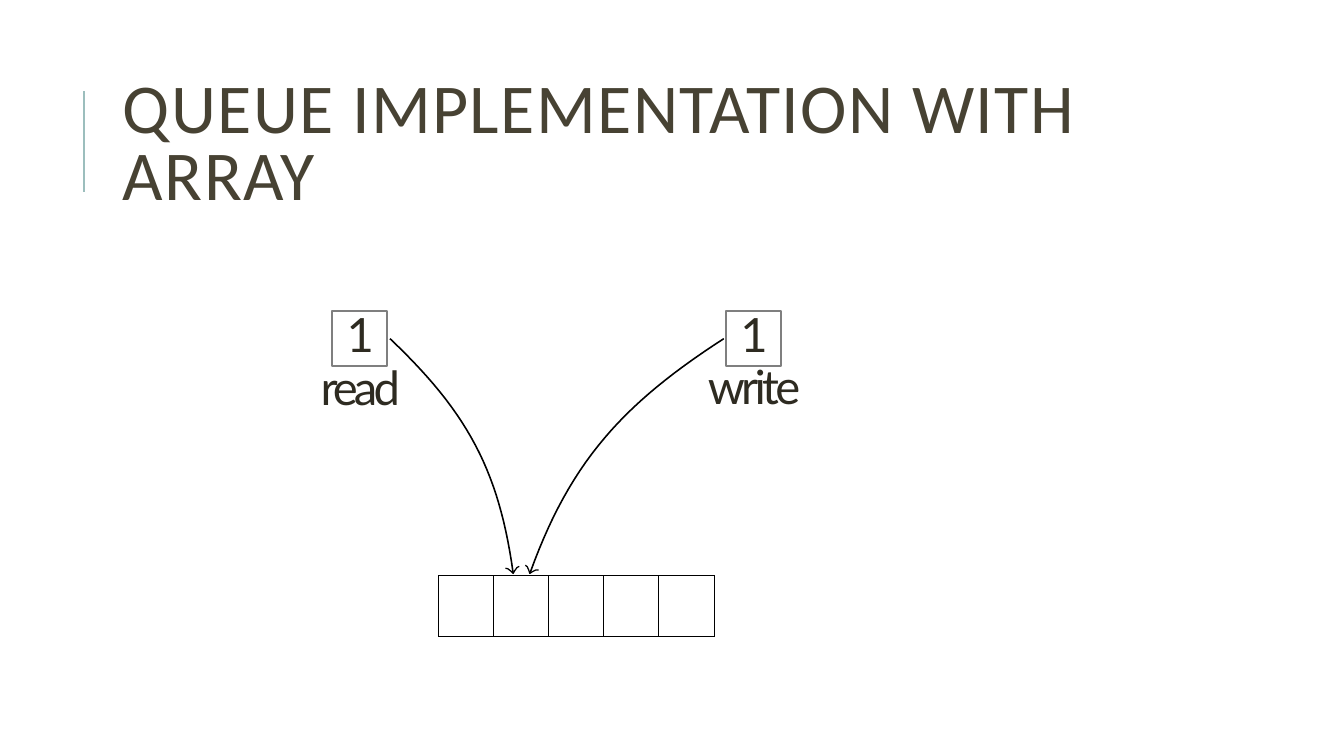
from dataclasses import dataclass
from math import hypot

from lxml.etree import SubElement
from pptx import Presentation
from pptx.dml.color import RGBColor
from pptx.enum.shapes import MSO_CONNECTOR, MSO_SHAPE
from pptx.enum.text import MSO_ANCHOR, MSO_AUTO_SIZE, PP_ALIGN
from pptx.oxml import parse_xml
from pptx.oxml.ns import nsdecls, qn
from pptx.util import Pt

BLACK = RGBColor(0x00, 0x00, 0x00)
GRAY = RGBColor(0x7F, 0x7F, 0x7F)
TEAL = RGBColor(0x9C, 0xBE, 0xBD)
BROWN = RGBColor(0x47, 0x42, 0x33)
INK = RGBColor(0x2E, 0x2B, 0x21)

Point = tuple[float, float]

BOX = 39.4
BOX_TOP = 222.2
CELLS = 5
STEPS = 28
TIP_GAP = 0.6
# One wing of the arrowhead: distance behind the tip, distance from the axis
WING: list[Point] = [(4.4, 5), (3.8, 3.3), (1.8, 1.4)]


@dataclass
class Index:
    """A named index of the queue, with the curve to its array cell."""
    name: str
    value: str
    left: float
    text_left: float
    text_width: float
    text_height: float
    leading: float
    tracking: float
    curve: tuple[Point, Point, Point, Point]


INDEXES = [
    Index("read", "1", 237.4, 226.8, 61.2, 79.2, 37.6, -2.8,
          ((278.6, 241.9), (334, 294.5), (356.4, 336.2), (366.5, 409))),
    Index("write", "1", 518.4, 503.3, 70.6, 77, 37.1, -2.7,
          ((517, 241.9), (445.7, 288), (407.5, 329), (378.7, 409))),
]


def write(par, text: str, *, font: str, size: float, color: RGBColor,
          tracking: float, align=PP_ALIGN.LEFT, leading=None) -> None:
    par.alignment = align
    par.line_spacing = leading
    run = par.add_run()
    run.text = text
    run.font.name = font
    run.font.size = Pt(size)
    run.font.color.rgb = color
    run.font._element.set("spc", str(round(tracking * 100)))


def add_title(slide) -> None:
    title = slide.shapes.title
    title.left, title.top = Pt(80.6), Pt(46.1)
    title.width, title.height = Pt(765.4), Pt(118.1)
    frame = title.text_frame
    frame.word_wrap = True
    frame.auto_size = MSO_AUTO_SIZE.NONE
    frame.vertical_anchor = MSO_ANCHOR.MIDDLE
    write(frame.paragraphs[0], "QUEUE IMPLEMENTATION WITH ARRAY",
          font="Calibri", size=50, color=BROWN, tracking=1, leading=0.8)

    rule = slide.shapes.add_connector(
        MSO_CONNECTOR.STRAIGHT, Pt(60), Pt(136.8), Pt(60), Pt(64.8))
    rule.line.color.rgb = TEAL
    rule.line.width = Pt(1.5)
    SubElement(rule._element.spPr, qn("a:effectLst"))


def add_path(shapes, points: list[Point], width: float) -> None:
    first, *rest = [(Pt(x), Pt(y)) for x, y in points]
    maker = shapes.build_freeform(*first)
    maker.add_line_segments(rest, close=False)
    path = maker.convert_to_shape()
    path.shadow.inherit = False
    path.fill.background()
    path.line.color.rgb = BLACK
    path.line.width = Pt(width)


def bezier(curve: tuple[Point, Point, Point, Point]) -> list[Point]:
    """Points along a cubic curve, at equal steps of its parameter."""
    points = []
    for step in range(STEPS + 1):
        t = step / STEPS
        u = 1 - t
        parts = (u ** 3, 3 * u * u * t, 3 * u * t * t, t ** 3)
        points.append((sum(k * p[0] for k, p in zip(parts, curve)),
                       sum(k * p[1] for k, p in zip(parts, curve))))
    return points


def head(before: Point, end: Point) -> list[Point]:
    """Outline of an open arrowhead that points from before to end."""
    dx, dy = end[0] - before[0], end[1] - before[1]
    size = hypot(dx, dy)
    dx, dy = dx / size, dy / size
    local = WING + [(0, 0)] + [(back, -side) for back, side in WING[::-1]]
    return [(end[0] + (TIP_GAP - back) * dx + side * dy,
             end[1] + (TIP_GAP - back) * dy - side * dx)
            for back, side in local]


def add_index(slide, index: Index) -> None:
    box = slide.shapes.add_shape(MSO_SHAPE.RECTANGLE, Pt(index.left),
                                 Pt(BOX_TOP), Pt(BOX), Pt(BOX))
    box.shadow.inherit = False
    box.fill.background()
    box.line.color.rgb = GRAY
    box.line.width = Pt(1.42)

    label = slide.shapes.add_textbox(
        Pt(index.text_left), Pt(216.7),
        Pt(index.text_width), Pt(index.text_height))
    frame = label.text_frame
    frame.word_wrap = True
    frame.auto_size = MSO_AUTO_SIZE.SHAPE_TO_FIT_TEXT
    frame.margin_left = frame.margin_right = frame.margin_bottom = 0
    frame.margin_top = Pt(4.6)
    pars = frame.paragraphs[0], frame.add_paragraph()
    texts = (index.value, -1.7), (index.name, index.tracking)
    for par, (text, tracking) in zip(pars, texts):
        write(par, text, font="Lato", size=33.7, color=INK,
              tracking=tracking, align=PP_ALIGN.CENTER,
              leading=Pt(index.leading))

    arrow = slide.shapes.add_group_shape()
    add_path(arrow.shapes, bezier(index.curve), 1.13)
    add_path(arrow.shapes, head(*index.curve[2:]), 0.91)


def add_array(slide) -> None:
    side, height = 39.35, 43.5
    table = slide.shapes.add_table(
        1, CELLS, Pt(313.2), Pt(411.1), Pt(side * CELLS), Pt(height)).table
    table.first_row = table.horz_banding = False
    for column in table.columns:
        column.width = Pt(side)
    for cell in table.iter_cells():
        cell.fill.background()
        props = cell._tc.get_or_add_tcPr()
        for place, edge in enumerate(("lnL", "lnR", "lnT", "lnB")):
            props.insert(place, parse_xml(
                f'<a:{edge} {nsdecls("a")} w="{Pt(0.5)}"><a:solidFill>'
                f'<a:srgbClr val="{BLACK}"/></a:solidFill></a:{edge}>'))


def main() -> None:
    deck = Presentation()
    deck.slide_width, deck.slide_height = Pt(960), Pt(540)
    slide = deck.slides.add_slide(deck.slide_layouts.get_by_name("Title Only"))
    add_title(slide)
    add_array(slide)
    for index in INDEXES:
        add_index(slide, index)
    deck.save("out.pptx")


if __name__ == "__main__":
    main()
